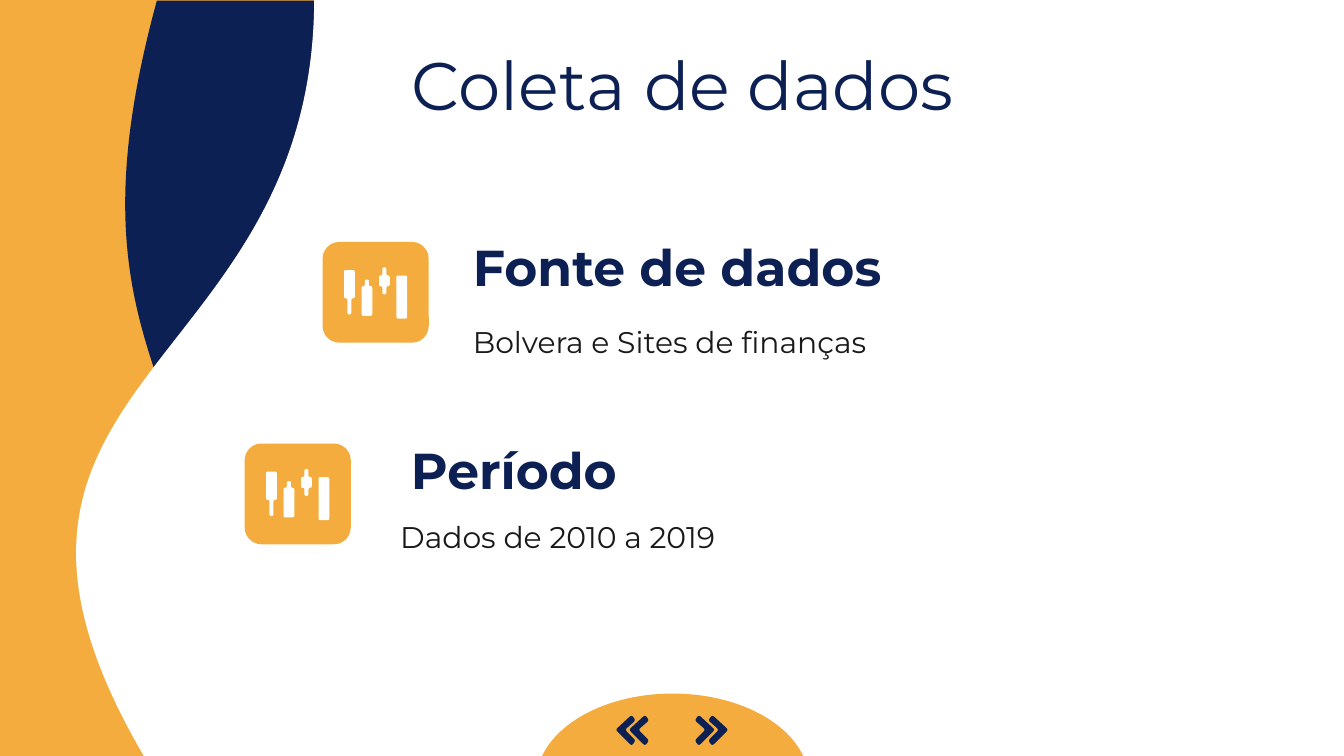
"""Build the data collection slide."""
from math import dist
from pptx import Presentation
from pptx.dml.color import RGBColor
from pptx.enum import shapes, text
from pptx.util import Inches, Pt

HUES = {"gold": "F3AC3D", "navy": "0C2054", "white": "FFFFFF", "ink": "191919"}
KIND = shapes.MSO_SHAPE
LEFT, MID = text.PP_ALIGN.LEFT, text.PP_ALIGN.CENTER
HEAD = {"size": Pt(27), "bold": True}
BODY = {"size": Pt(16), "bold": False}

WAVES = [((0.27, 0.61, 5.62, 4.41), "navy", False),
         ((2.4, -1.97, 5.65, 9.56), "white", True)]
TILES = [(2.4, 1.8), (1.82, 3.3)]
CANDLES = [(0.55, 0.25, 0.25, 0.57, 0.57), (0.29, 0.28, 0.33, 0.55, 0.55),
           (0.42, 0.19, 0.25, 0.33, 0.39), (0.16, 0.21, 0.21, 0.42, 0.54)]
ARROW = [(-0.01, 0.03), (0.02, -0.01), (0.14, 0.1), (0.02, 0.22),
         (-0.01, 0.18), (0.07, 0.1)]
STEPS = (5.18, 5.28)
TEXTS = [
    ("Coleta de dados", (0.87, 0.36, 8.42, 0.53), MID, "navy",
     {"size": Pt(36), "bold": False}, 0, 0),
    ("Fonte de dados", (3.42, 1.69, 3.48, 0.59), LEFT, "navy", HEAD, 0, 0),
    ("Bolvera e Sites de finanças", (3.42, 2.28, 3.75, 0.53), LEFT, "ink", BODY, 0, 0),
    ("Período", (2.96, 3.2, 2.04, 0.58), LEFT, "navy", HEAD, 0, 0),
    ("Dados de 2010 a 2019", (2.73, 3.73, 2.8, 0.52), LEFT, "ink", BODY, 0.5, -0.35),
]

deck = Presentation()
deck.slide_width = Inches(10)
deck.slide_height = deck.slide_width * 9 // 16
page = deck.slides.add_slide(deck.slide_layouts[6])


def tint(fill, hue):
    fill.solid()
    fill.fore_color.rgb = RGBColor.from_string(HUES[hue])


def paint(item, hue):
    tint(item.fill, hue)
    item.line.fill.background()
    item.shadow.inherit = False


def block(kind, box, hue, turn=0, flip=False, adj=()):
    item = page.shapes.add_shape(kind, *map(Inches, box))
    paint(item, hue)
    item.rotation = turn
    if flip:
        item._element.spPr.xfrm.set("flipH", "1")
    for i, val in enumerate(adj):
        item.adjustments[i] = val


def soften(pts, rad):
    out = []
    for i, (x, y) in enumerate(pts):
        ends = []
        for px, py in (pts[i - 1], pts[(i + 1) % len(pts)]):
            gap = dist((x, y), (px, py))
            part = min(0.5, rad / gap) if gap else 0
            ends.append((x + (px - x) * part, y + (py - y) * part))
        (ax, ay), (bx, by) = ends
        for t in (0, 0.25, 0.5, 0.75, 1):
            p, q, r = (1 - t) ** 2, 2 * t * (1 - t), t * t
            out.append((p * ax + q * x + r * bx, p * ay + q * y + r * by))
    return out


def trace(group, pts, rad, hue):
    pts = [(Inches(x), Inches(y)) for x, y in soften(pts, rad)]
    pen = group.shapes.build_freeform(*pts[0], scale=1.0)
    pen.add_line_segments(pts[1:], close=True)
    paint(pen.convert_to_shape(), hue)


def candle(left, top, high, low, foot):
    right, wide = left + 0.08, 0.015
    a, b = left + 0.04 - wide, left + 0.04 + wide
    return [(a, top), (b, top), (b, high), (right, high), (right, low), (b, low),
            (b, foot), (a, foot), (a, low), (left, low), (left, high), (a, high)]


tint(page.background.fill, "gold")
for box, hue, flip in WAVES:
    block(KIND.FLOWCHART_DOCUMENT, box, hue, 90, flip)

for x, y in TILES:
    block(KIND.ROUNDED_RECTANGLE, (x, y, 0.79, 0.75), "gold", adj=(0.167,))
    icon = page.shapes.add_group_shape()
    for bar in CANDLES:
        trace(icon, [(x + dx, y + dy) for dx, dy in candle(*bar)], 0.015, "white")

block(KIND.PIE, (3.99, 5.16, 2.03, 1.31), "gold", 180, True, (0, 108.312))
for side in (1, -1):
    icon = page.shapes.add_group_shape()
    for step in STEPS:
        pts = [(5 + side * (step + dx - 5), 5.33 + dy) for dx, dy in ARROW]
        trace(icon, pts, 0.02, "navy")

for words, box, align, hue, form, pad, hang in TEXTS:
    frame = page.shapes.add_textbox(*map(Inches, box)).text_frame
    look = {"word_wrap": True, "vertical_anchor": text.MSO_ANCHOR.MIDDLE}
    look |= {f"margin_{s}": Inches(0.1) for s in ("left", "top", "right", "bottom")}
    for key, val in look.items():
        setattr(frame, key, val)
    para = frame.paragraphs[0]
    para.alignment = align
    if pad:
        props = para._p.get_or_add_pPr()
        props.set("marL", str(Inches(pad)))
        props.set("indent", str(Inches(hang)))
    run = para.add_run()
    run.text = words
    for key, val in {"name": "Montserrat", **form}.items():
        setattr(run.font, key, val)
    run.font.color.rgb = RGBColor.from_string(HUES[hue])

deck.save("out.pptx")
